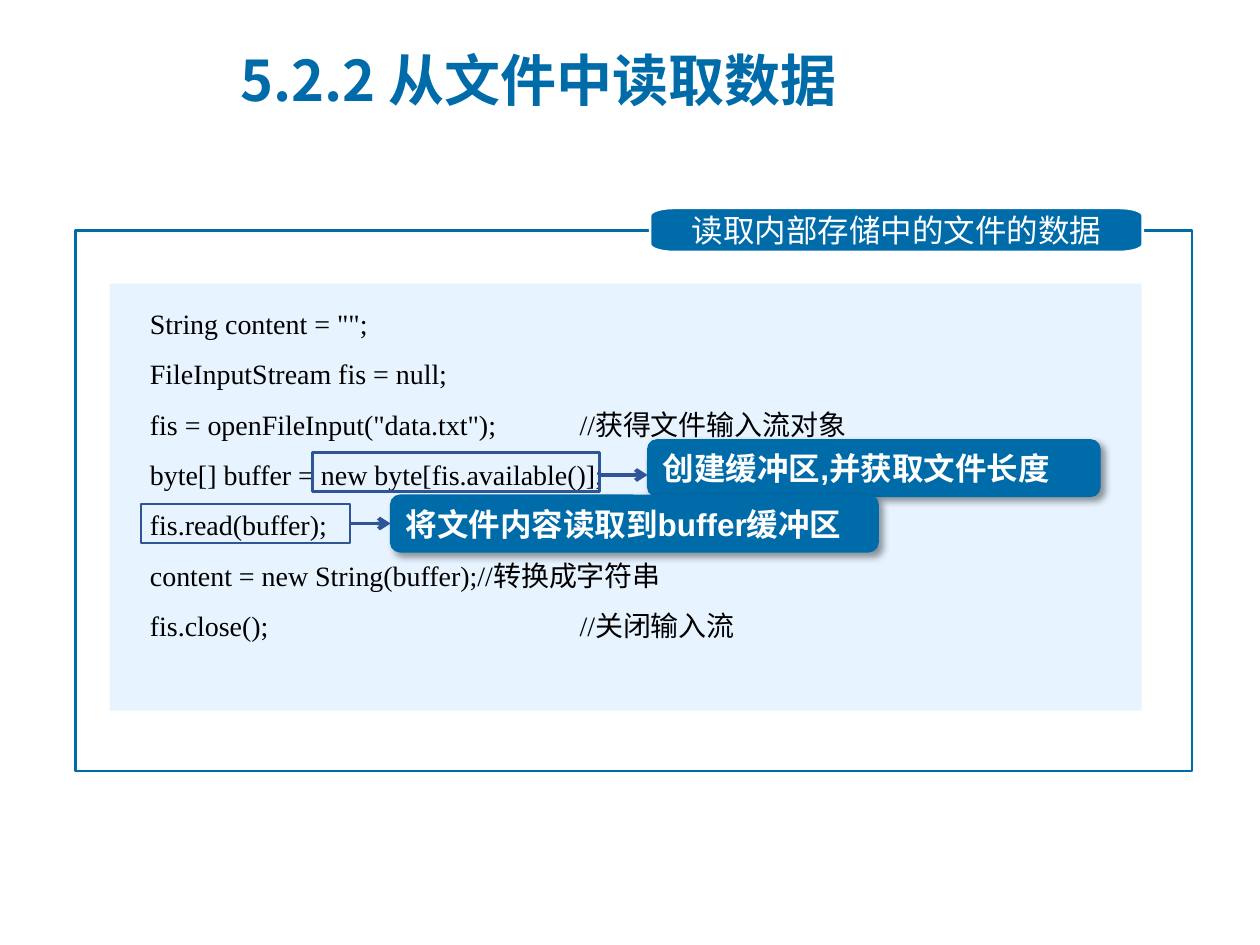
from math import cos, pi, sin

from lxml.etree import SubElement
from pptx import Presentation
from pptx.dml.color import RGBColor
from pptx.enum.shapes import MSO_CONNECTOR as Line, MSO_SHAPE as Shape
from pptx.enum.text import MSO_ANCHOR as Anchor, PP_ALIGN as Align
from pptx.oxml.ns import qn
from pptx.util import Inches, Pt

COLORS = {"blue": "006BA9", "navy": "2F5597", "pale": "E7F4FF",
          "white": "FFFFFF", "black": "000000"}
CJK = "Noto Sans CJK SC"
CODE_INSET, COMMENT_TAB = 0.32, 3.41

CODE = [
    'String content = "";',
    "FileInputStream fis = null;",
    'fis = openFileInput("data.txt");\t//获得文件输入流对象',
    "byte[] buffer = new byte[fis.available()];",
    "fis.read(buffer);",
    "content = new String(buffer);//转换成字符串",
    "fis.close();\t//关闭输入流",
]


def rgb(name):
    return RGBColor.from_string(COLORS[name])


def write(frame, lines, size=18, font=CJK, color="white", bold=False, align=Align.LEFT,
          anchor=Anchor.MIDDLE, spacing=None, tab=None, inset=(0.1, 0.05)):
    """Fill a text frame, one paragraph per line; inset is (sides, top and bottom)."""
    frame.word_wrap = True
    frame.vertical_anchor = anchor
    frame.margin_left = frame.margin_right = Inches(inset[0])
    frame.margin_top = frame.margin_bottom = Inches(inset[1])
    for number, line in enumerate(lines):
        paragraph = frame.add_paragraph() if number else frame.paragraphs[0]
        paragraph.alignment = align
        if spacing:
            paragraph.line_spacing = spacing
        if tab:
            stops = SubElement(paragraph._p.get_or_add_pPr(), qn("a:tabLst"))
            SubElement(stops, qn("a:tab"), pos=str(Inches(tab)), algn="l")
        run = paragraph.add_run()
        run.text = line
        run.font.size, run.font.bold, run.font.name = Pt(size), bold, font
        run.font.color.rgb = rgb(color)
        SubElement(run._r.get_or_add_rPr(), qn("a:ea"), typeface=CJK)


class SlideBuilder:
    def __init__(self, slide):
        self.shapes = slide.shapes

    def style(self, shape, fill=None, line=None, width=1.5):
        shape.shadow.inherit = False
        if fill:
            shape.fill.solid()
            shape.fill.fore_color.rgb = rgb(fill)
        else:
            shape.fill.background()
        if line:
            shape.line.color.rgb = rgb(line)
            shape.line.width = Pt(width)
        else:
            shape.line.fill.background()
        return shape

    def box(self, place, kind=Shape.RECTANGLE, **look):
        return self.style(self.shapes.add_shape(kind, *map(Inches, place)), **look)

    def title(self, place, text):
        title = self.shapes.add_textbox(*map(Inches, place))
        write(title.text_frame, [text], size=32, color="blue", bold=True)

    def tag(self, place, text, rx=0.19, ry=0.06, steps=8):
        """Draw a label whose corners are quarter ellipses of radii rx and ry."""
        left, top, width, height = place
        right, bottom = left + width, top + height
        centres = [(right - rx, bottom - ry), (left + rx, bottom - ry),
                   (left + rx, top + ry), (right - rx, top + ry)]
        points = []
        for quarter, (x, y) in enumerate(centres):
            for step in range(steps + 1):
                angle = (quarter + step / steps) * pi / 2
                points.append((Inches(x + rx * cos(angle)), Inches(y + ry * sin(angle))))
        outline = self.shapes.build_freeform(*points[0])
        outline.add_line_segments(points[1:], close=True)
        label = self.style(outline.convert_to_shape(), fill="blue", line="white")
        write(label.text_frame, [text], align=Align.CENTER, inset=(0.24, 0.06))

    def code(self, place, lines):
        panel = self.box(place, fill="pale")
        write(panel.text_frame, lines, size=16, font="Times New Roman", color="black",
              anchor=Anchor.TOP, spacing=1.5, tab=COMMENT_TAB, inset=(CODE_INSET, 0.05))

    def callout(self, place, text):
        callout = self.box(place, Shape.ROUNDED_RECTANGLE, fill="blue", line="blue", width=0.75)
        write(callout.text_frame, [text], font="Arial", bold=True)
        effects = callout._element.spPr.find(qn("a:effectLst"))
        shadow = SubElement(effects, qn("a:outerShdw"), blurRad=str(Pt(4)), dist=str(Pt(3)),
                            dir=str(45 * 60000), algn="tl", rotWithShape="0")
        color = SubElement(shadow, qn("a:srgbClr"), val=COLORS["black"])
        SubElement(color, qn("a:alpha"), val="40000")
        return callout

    def arrow(self, start, end, source=None, target=None):
        arrow = self.shapes.add_connector(Line.STRAIGHT, *map(Inches, start + end))
        if source and target:
            arrow.begin_connect(source, 3)
            arrow.end_connect(target, 1)
        arrow.line.color.rgb = rgb("navy")
        arrow.line.width = Pt(2.25)
        SubElement(arrow.line._get_or_add_ln(), qn("a:tailEnd"), type="arrow")
        SubElement(arrow._element.spPr, qn("a:effectLst"))


def main():
    deck = Presentation()
    deck.slide_width, deck.slide_height = Inches(10), Inches(7.5)
    page = SlideBuilder(deck.slides.add_slide(deck.slide_layouts[6]))

    page.box((0.6, 1.83, 8.86, 4.29), line="blue")
    page.tag((5.16, 1.65, 3.91, 0.35), "读取内部存储中的文件的数据")
    page.title((1.81, 0.21, 5.63, 0.84), "5.2.2 从文件中读取数据")
    page.code((0.87, 2.25, 8.19, 3.39), CODE)

    page.box((2.48, 3.59, 2.28, 0.31), line="navy")
    page.callout((5.14, 3.49, 3.59, 0.45), "创建缓冲区,并获取文件长度")
    page.arrow((4.76, 3.77), (5.14, 3.77))

    read_call = page.box((1.12, 4, 1.66, 0.31), line="navy")
    read_note = page.callout((3.1, 3.93, 3.87, 0.45), "将文件内容读取到buffer缓冲区")
    page.arrow((2.78, 4.16), (3.1, 4.16), read_call, read_note)

    deck.save("out.pptx")


if __name__ == "__main__":
    main()
